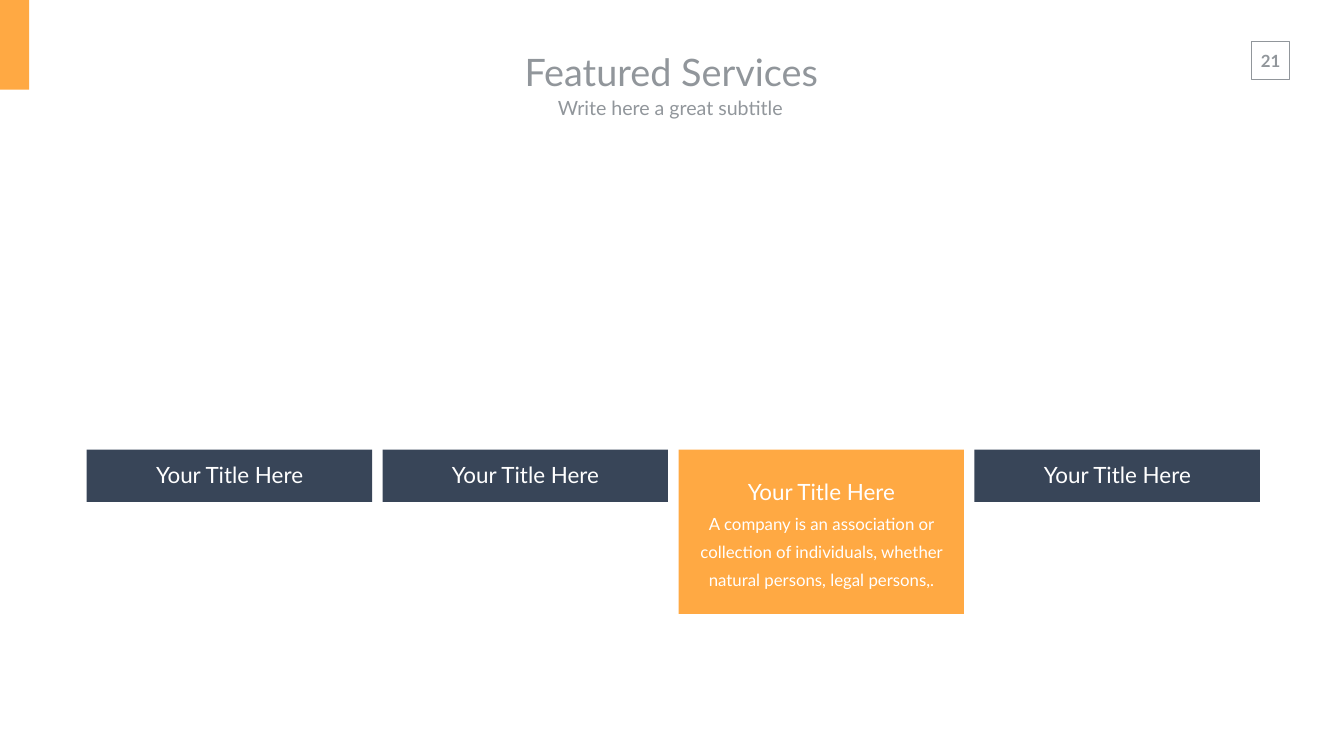
from pptx import Presentation
from pptx.dml.color import RGBColor
from pptx.enum.shapes import MSO_SHAPE
from pptx.enum.text import MSO_ANCHOR, MSO_AUTO_SIZE, PP_ALIGN
from pptx.util import Pt

RECT = MSO_SHAPE.RECTANGLE
CENTER = PP_ALIGN.CENTER
MIDDLE, TOP = MSO_ANCHOR.MIDDLE, MSO_ANCHOR.TOP
NO_FIT = MSO_AUTO_SIZE.NONE
PX = 9144  # 100 px to the inch
FONT = "Lato"
COLORS = {"gray": "91969B", "navy": "384558", "orange": "FFA943", "white": "FFFFFF"}


def add_rect(left, top, width, height, fill=None, line=None):
    rect = slide.shapes.add_shape(RECT, left * PX, top * PX, width * PX, height * PX)
    rect.shadow.inherit = False
    if fill:
        rect.fill.solid()
        rect.fill.fore_color.rgb = RGBColor.from_string(COLORS[fill])
    else:
        rect.fill.background()
    if line:
        rect.line.color.rgb = RGBColor.from_string(COLORS[line])
        rect.line.width = Pt(1)
    else:
        rect.line.fill.background()


def set_text(shape, lines, color, pad, anchor=TOP, wrap=True, space=1.0, bold=False):
    """Fill a shape with centred (text, size) lines; pad is (side, end) in px."""
    frame = shape.text_frame
    frame.auto_size = NO_FIT
    frame.word_wrap = wrap
    frame.vertical_anchor = anchor
    frame.margin_left = frame.margin_right = pad[0] * PX
    frame.margin_top = frame.margin_bottom = pad[1] * PX
    for i, (text, size) in enumerate(lines):
        para = frame.add_paragraph() if i else frame.paragraphs[0]
        para.alignment = CENTER
        para.line_spacing = space
        para.space_before = Pt(0)
        run = para.add_run()
        run.text = text
        run.font.name = FONT
        run.font.size = Pt(size)
        run.font.bold = bold
        run.font.color.rgb = RGBColor.from_string(COLORS[color])


prs = Presentation()
prs.slide_width, prs.slide_height = 2666 * PX, 1500 * PX
slide = prs.slides.add_slide(prs.slide_layouts[0])

# Corner accent and page number
add_rect(0, 0, 58, 178, fill="orange")
add_rect(2483, 82, 75, 75, line="gray")
number = slide.shapes.add_textbox(2480 * PX, 90 * PX, 81 * PX, 61 * PX)
set_text(number, [("21", 24)], "gray", (20, 10), wrap=False, bold=True)

# Title and subtitle
heads = [
    (slide.shapes.title, "Featured Services", 54, 815, 83, 118),
    (slide.placeholders[1], "Write here a great subtitle ", 28, 818, 176, 74),
]
for holder, text, size, left, top, height in heads:
    holder.left, holder.top = left * PX, top * PX
    holder.width, holder.height = 1033 * PX, height * PX
    set_text(holder, [(text, size)], "gray", (27, 13), anchor=MIDDLE)

# Service cards; the third one is open
CARD_LEFT, CARD_TOP, CARD_WIDTH, STEP = 172, 892, 566, 587
TITLE = ("Your Title Here", 32)
DETAIL = (
    "A company is an association or collection of individuals, "
    "whether natural persons, legal persons,.",
    24,
)
for col in range(4):
    left = CARD_LEFT + col * STEP
    if col == 2:
        fill, height, lines = "orange", 326, [TITLE, DETAIL]
        top, width, depth = 923, 511, 252
    else:
        fill, height, lines = "navy", 104, [TITLE]
        top, width, depth = 889, 423, 82
    add_rect(left, CARD_TOP, CARD_WIDTH, height, fill=fill)
    inset = (CARD_WIDTH - width + 1) // 2
    label = slide.shapes.add_textbox(
        (left + inset) * PX, top * PX, width * PX, depth * PX
    )
    set_text(label, lines, "white", (10, 5), space=1.4)

prs.save("out.pptx")
